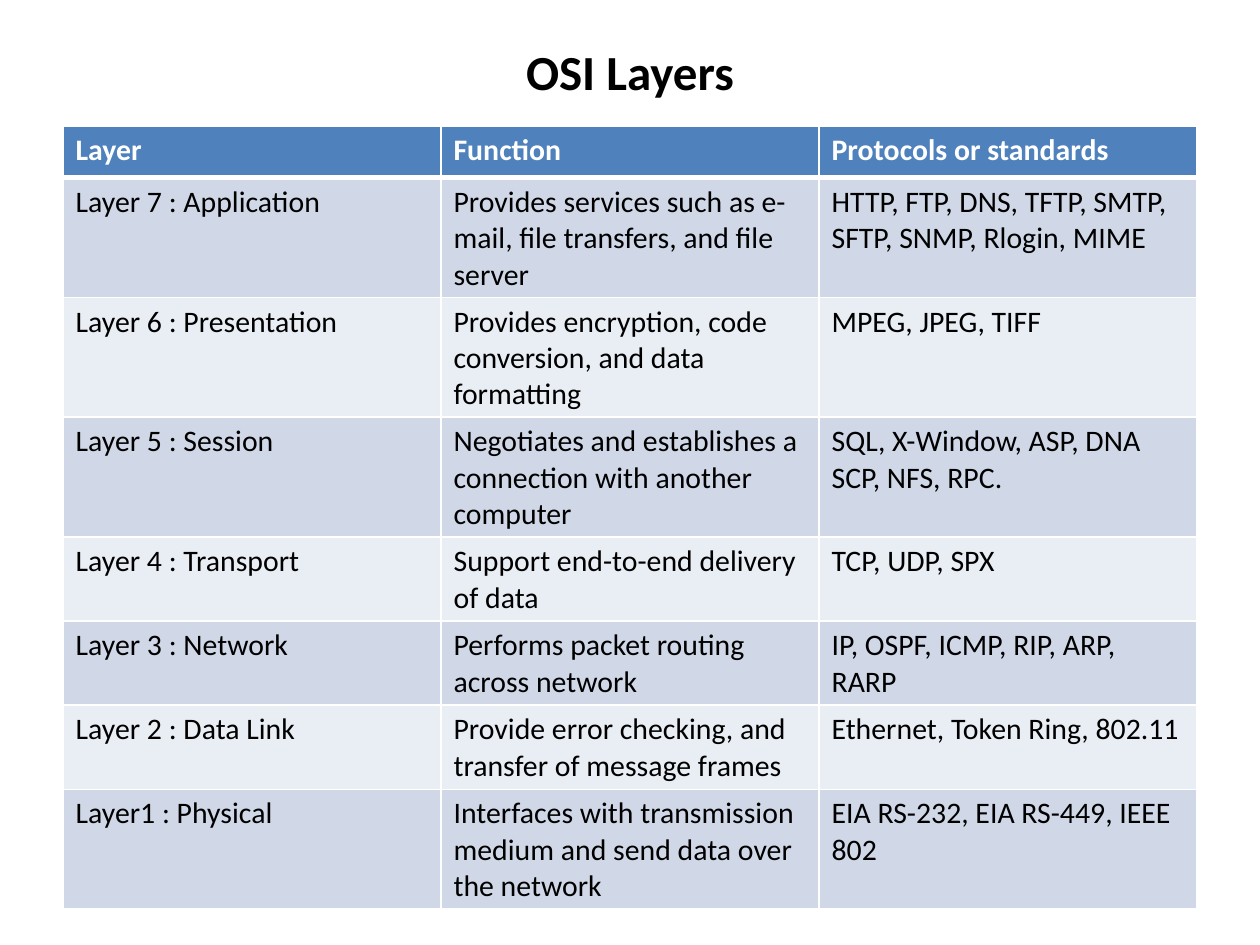
import pptx
import pptx.util
import pptx.dml.color
import pptx.enum.text
import pptx.oxml.ns
import lxml.etree

# Content
TITLE = "OSI Layers"
HEAD = ("Layer", "Function", "Protocols or standards")
ROWS = [
    ("Layer 7 : Application",
     "Provides services such as e-mail, file transfers, and file server",
     "HTTP, FTP, DNS, TFTP, SMTP, SFTP, SNMP, Rlogin, MIME"),
    ("Layer 6 : Presentation",
     "Provides encryption, code conversion, and data formatting",
     "MPEG, JPEG, TIFF"),
    ("Layer 5 : Session",
     "Negotiates and establishes a connection with another computer",
     "SQL, X-Window, ASP, DNA SCP, NFS, RPC."),
    ("Layer 4 : Transport",
     "Support end-to-end delivery of data",
     "TCP, UDP, SPX"),
    ("Layer 3 : Network",
     "Performs packet routing across network",
     "IP, OSPF, ICMP, RIP, ARP, RARP"),
    ("Layer 2 : Data Link",
     "Provide error checking, and transfer of message frames",
     "Ethernet, Token Ring, 802.11"),
    ("Layer1 : Physical",
     "Interfaces with transmission medium and send data over the network",
     "EIA RS-232, EIA RS-449, IEEE 802"),
]

THEME = {
    "font": "Calibri", "title": 28, "body": 17,
    "ink": "000000", "light": "FFFFFF",
    "head": "4F81BD", "bands": ("D0D8E8", "E9EDF4"),
    "rule": 1, "thick": 3,
}

# Layout in inches
WIDE, HIGH = 10, 7.5
EDGE = WIDE * 0.05
SPAN = WIDE - 2 * EDGE
TOP, ROW = 1, 0.41  # rows grow to fit their text

inch = pptx.util.Inches
qn = pptx.oxml.ns.qn
tone = pptx.dml.color.RGBColor.from_string


def style(para, size, color, bold):
    font = para.font
    font.name, font.size, font.bold = THEME["font"], pptx.util.Pt(size), bold
    font.color.rgb = tone(color)


def edge(cell, side, width):
    line = lxml.etree.SubElement(cell._tc.get_or_add_tcPr(), qn("a:ln" + side),
                                 w=str(pptx.util.Pt(width)))
    fill = lxml.etree.SubElement(line, qn("a:solidFill"))
    lxml.etree.SubElement(fill, qn("a:srgbClr"), val=THEME["light"])


def add_title(slide):
    box = slide.shapes.add_textbox(inch(EDGE), inch(0.3), inch(SPAN), inch(0.53))
    frame = box.text_frame
    frame.word_wrap = True
    frame.vertical_anchor = pptx.enum.text.MSO_ANCHOR.MIDDLE
    para = frame.paragraphs[0]
    para.text = TITLE
    para.alignment = pptx.enum.text.PP_ALIGN.CENTER
    style(para, THEME["title"], THEME["ink"], True)


def add_grid(slide):
    data = [HEAD] + ROWS
    table = slide.shapes.add_table(len(data), len(HEAD), inch(EDGE), inch(TOP),
                                   inch(SPAN), inch(ROW * len(data))).table
    for r, texts in enumerate(data):
        table.rows[r].height = inch(ROW)
        top = r == 0
        back = THEME["head"] if top else THEME["bands"][(r - 1) % 2]
        for c, text in enumerate(texts):
            cell = table.cell(r, c)
            cell.text = text
            style(cell.text_frame.paragraphs[0], THEME["body"],
                  THEME["light"] if top else THEME["ink"], top)
            # The rule below the header is thick, seen from both rows
            for side in "LRTB":
                thick = (r, side) in ((0, "B"), (1, "T"))
                edge(cell, side, THEME["thick" if thick else "rule"])
            cell.fill.solid()
            cell.fill.fore_color.rgb = tone(back)


def main():
    deck = pptx.Presentation()
    deck.slide_width, deck.slide_height = inch(WIDE), inch(HIGH)
    slide = deck.slides.add_slide(deck.slide_layouts[6])
    add_title(slide)
    add_grid(slide)
    deck.save("out.pptx")


if __name__ == "__main__":
    main()
